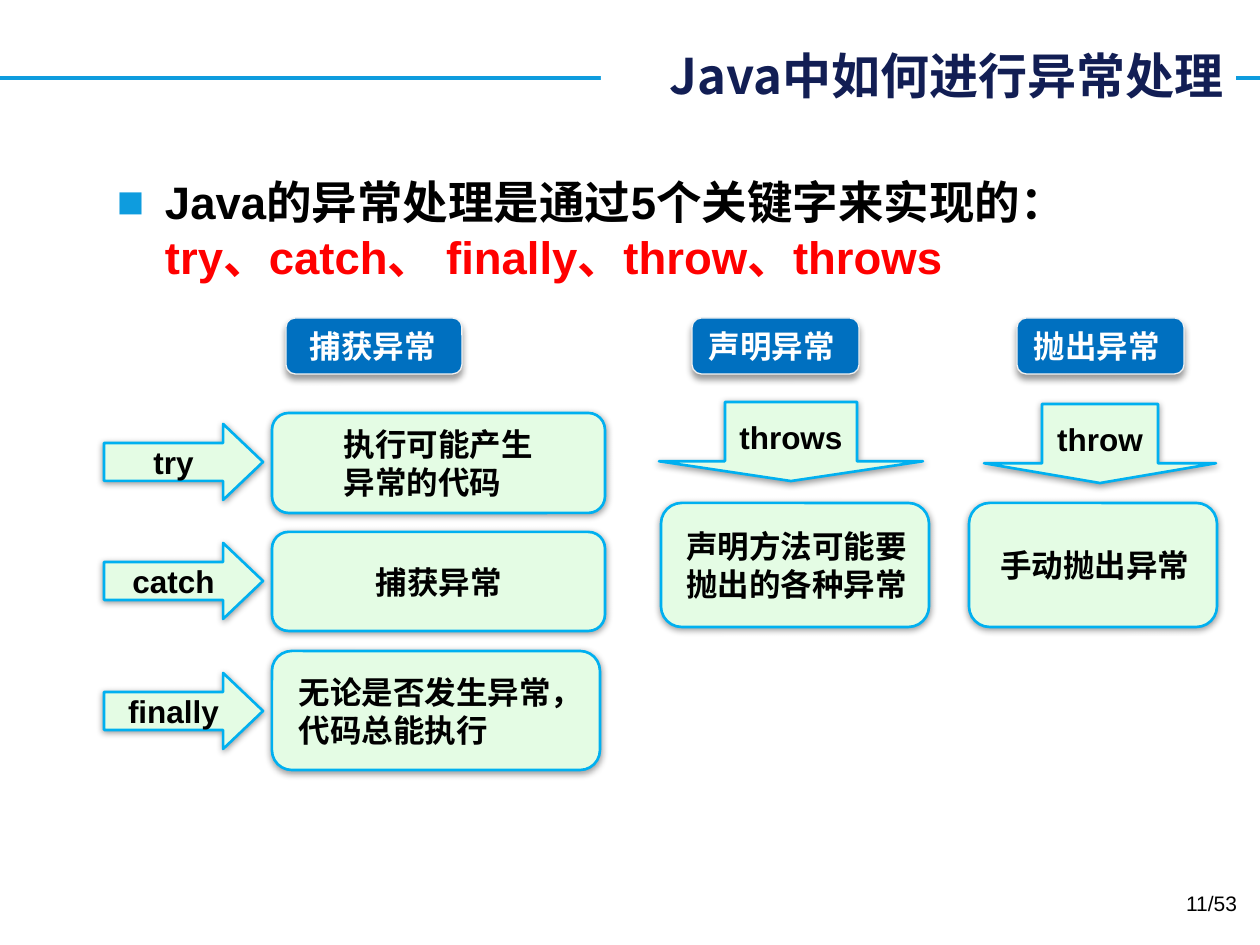
from dataclasses import dataclass

from lxml.etree import SubElement
from pptx import Presentation
from pptx.dml.color import RGBColor
from pptx.enum.shapes import MSO_CONNECTOR as CONN, MSO_SHAPE as SHAPE
from pptx.enum.text import MSO_ANCHOR as ANCHOR, PP_ALIGN as ALIGN
from pptx.oxml.ns import qn
from pptx.util import Emu, Pt

PX_PER_INCH = 126


@dataclass(frozen=True)
class Theme:
    font: str = "Arial"
    title_font: str = "Noto Sans CJK SC"
    white: str = "FFFFFF"
    black: str = "000000"
    navy: str = "121E54"
    rule: str = "0E9CDE"
    red: str = "FF0000"
    tag: str = "0070C0"
    tag_line: str = "F2F2F2"
    mint: str = "E4FCE4"
    cyan: str = "00B0F0"
    title: int = 28
    body: int = 26
    label: int = 18
    small: int = 12


T = Theme()


def px(n):
    return Emu(round(n * 914400 / PX_PER_INCH))


def rgb(value):
    return RGBColor.from_string(value)


def write(sp, lines, size=T.label, color=T.black, bold=True, font=T.font,
          align=ALIGN.LEFT, anchor=ANCHOR.MIDDLE, left=0, right=0, top=0, spacing=None):
    """Fill a shape with one paragraph per line and return its text frame."""
    tf = sp.text_frame
    tf.word_wrap = True
    tf.vertical_anchor = anchor
    tf.margin_left, tf.margin_right = px(left), px(right)
    tf.margin_top, tf.margin_bottom = px(top), 0
    for i, line in enumerate(lines):
        p = tf.paragraphs[0] if i == 0 else tf.add_paragraph()
        p.alignment = align
        if spacing:
            p.line_spacing = Pt(spacing)
        add_run(p, line, size, color, bold, font)
    return tf


def add_run(p, text, size, color, bold=True, font=T.font):
    r = p.add_run()
    r.text = text
    r.font.size, r.font.bold, r.font.name = Pt(size), bold, font
    r.font.color.rgb = rgb(color)
    SubElement(r.font._element, qn("a:ea"), typeface=font)


def add_panel(s, kind, box, fill, line, width, drop):
    """Draw a filled preset shape with a soft shadow below it."""
    sp = s.shapes.add_shape(kind, *map(px, box))
    sp.fill.solid()
    sp.fill.fore_color.rgb = rgb(fill)
    sp.line.color.rgb = rgb(line)
    sp.line.width = Pt(width)
    sp.shadow.inherit = False
    effects = sp._element.spPr.find(qn("a:effectLst"))
    shadow = SubElement(effects, qn("a:outerShdw"), blurRad=str(Pt(4)),
                        dist=str(Pt(drop)), dir="5400000", rotWithShape="0")
    color = SubElement(shadow, qn("a:srgbClr"), val=T.black)
    SubElement(color, qn("a:alpha"), val="40000")
    return sp


def add_tag(s, box, text, left):
    sp = add_panel(s, SHAPE.ROUNDED_RECTANGLE, box, T.tag, T.tag_line, 0.75, 3)
    write(sp, [text], color=T.white, left=left, spacing=21.7)


def add_card(s, box, lines, left):
    sp = add_panel(s, SHAPE.ROUNDED_RECTANGLE, box, T.mint, T.cyan, 1.5, 1)
    write(sp, lines, left=left, spacing=21.7)


def add_arrow(s, kind, box, keyword, head):
    sp = add_panel(s, kind, box, T.mint, T.cyan, 1.5, 1)
    sp.adjustments[0], sp.adjustments[1] = 0.5, head
    write(sp, [keyword], align=ALIGN.CENTER)


def add_header(s, x, y, w, h):
    # Rule across the slide, interrupted by the title box
    rule = s.shapes.add_connector(CONN.STRAIGHT, 0, px(78), px(1260), px(78))
    rule.line.color.rgb = rgb(T.rule)
    rule.line.width = Pt(2.25)
    SubElement(rule._element.spPr, qn("a:effectLst"))
    title = s.shapes.add_textbox(*map(px, (x, y, w, h)))
    title.fill.solid()
    title.fill.fore_color.rgb = rgb(T.white)
    write(title, ["Java中如何进行异常处理"], size=T.title, color=T.navy,
          font=T.title_font, align=ALIGN.RIGHT, right=13)


def add_intro(s, x, y, w, h):
    sp = s.shapes.add_textbox(*map(px, (x, y, w, h)))
    p = sp.text_frame.paragraphs[0]
    # Square bullet with a hanging indent
    pPr = p._p.get_or_add_pPr()
    pPr.set("marL", str(px(48)))
    pPr.set("indent", str(-px(48)))
    SubElement(SubElement(pPr, qn("a:buClr")), qn("a:srgbClr"), val=T.rule)
    SubElement(pPr, qn("a:buFont"), typeface=T.font)
    SubElement(pPr, qn("a:buChar"), char="■")
    write(sp, ["Java的异常处理是通过5个关键字来实现的："], size=T.body,
          anchor=ANCHOR.TOP, left=12, top=6, spacing=31.4)
    p.add_line_break()
    add_run(p, "try、catch、 finally、throw、throws", T.body, T.red)


def add_catch_region(s, x, y):
    """Tag above three rows, each an arrow pointing at a card."""
    add_tag(s, (x + 182, y, 176, 56), "捕获异常", 21)
    rows = [
        ("try", 95, 333, 100, 106, ["执行可能产生", "异常的代码"], 67),
        ("catch", 214, 333, 99, 225, ["捕获异常"], 99),
        ("finally", 333, 328, 119, 355, ["无论是否发生异常，", "代码总能执行"], 21),
    ]
    for keyword, card_y, w, h, arrow_y, lines, left in rows:
        add_arrow(s, SHAPE.RIGHT_ARROW, (x, y + arrow_y, 159, 76), keyword, 0.525)
        add_card(s, (x + 168, y + card_y, w, h), lines, left)


def add_column(s, x, y, w, tag, tag_x, keyword, arrow, lines, left):
    """Tag, down arrow and card stacked in one column."""
    arrow_x, arrow_y, arrow_w = arrow
    add_tag(s, (x + tag_x, y, 167, 56), tag, 14)
    add_arrow(s, SHAPE.DOWN_ARROW, (x + arrow_x, y + arrow_y, arrow_w, 79), keyword, 0.25)
    add_card(s, (x, y + 185, w, 124), lines, left)


def add_page_number(s, x, y, w, h):
    sp = s.shapes.add_textbox(*map(px, (x, y, w, h)))
    write(sp, ["11/53"], size=T.small, bold=False, align=ALIGN.RIGHT,
          anchor=ANCHOR.TOP, right=13, top=6)


def main():
    prs = Presentation()
    prs.slide_width, prs.slide_height = px(1260), px(945)
    s = prs.slides.add_slide(prs.slide_layouts[6])

    add_header(s, 601, 39, 635, 72)
    add_intro(s, 105, 168, 1107, 130)
    add_catch_region(s, 104, 318)
    add_column(s, 661, 318, 268, "声明异常", 31, "throws", (-2, 84, 264),
               ["声明方法可能要", "抛出的各种异常"], 19)
    add_column(s, 969, 318, 248, "抛出异常", 48, "throw", (15, 86, 232),
               ["手动抛出异常"], 25)
    add_page_number(s, 956, 885, 294, 50)

    prs.save("out.pptx")


if __name__ == "__main__":
    main()
